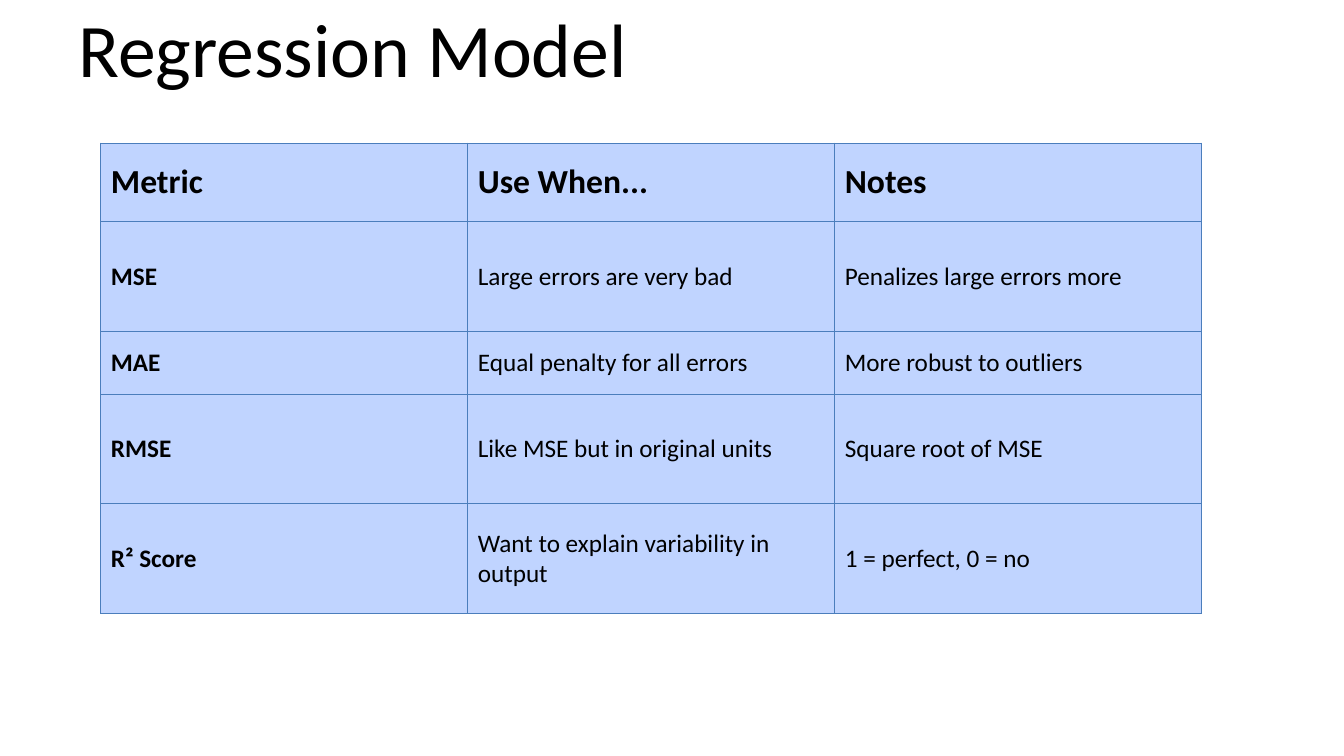
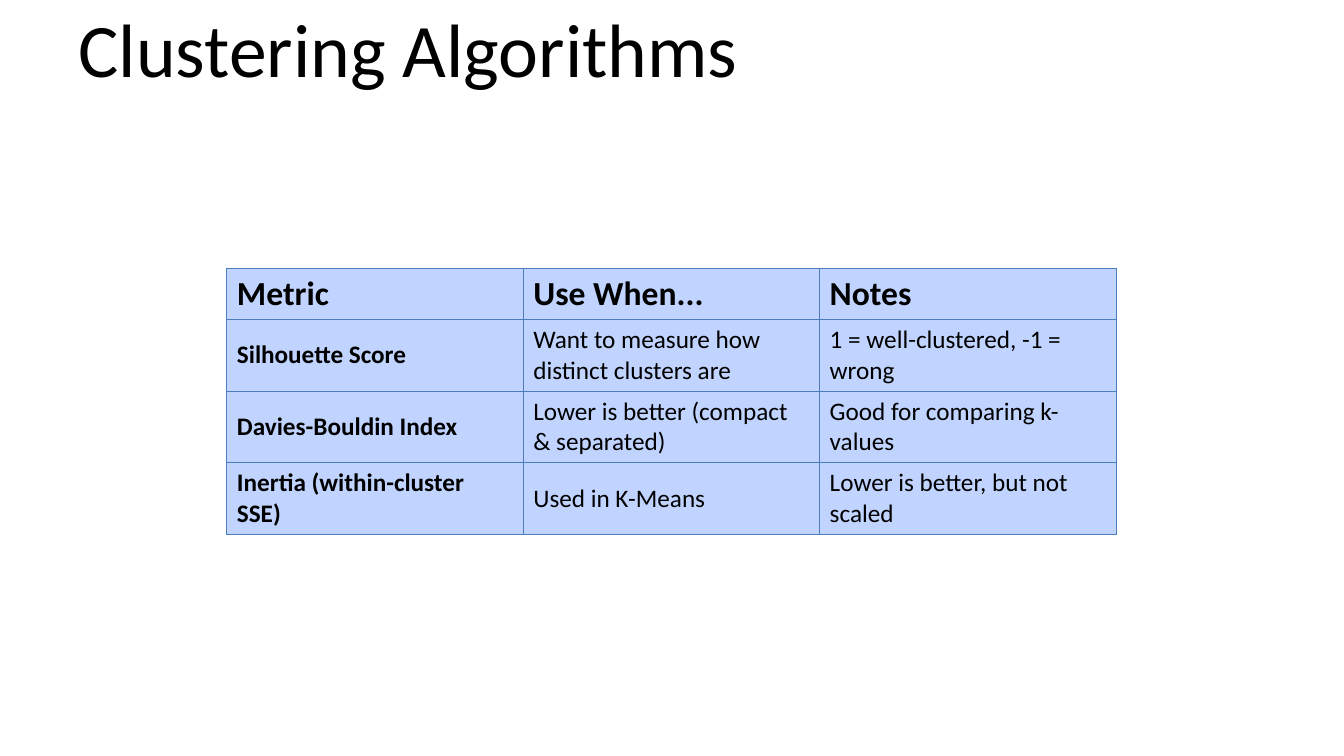
from dataclasses import dataclass

from lxml.etree import SubElement
from pptx import Presentation
from pptx.dml.color import RGBColor as Rgb
from pptx.enum.text import MSO_ANCHOR as Anchor
from pptx.oxml.ns import qn
from pptx.util import Pt

EMU_PER_PX = 9144


@dataclass(frozen=True)
class Theme:
    """Colours, font and type sizes shared by the slides."""
    font: str = "Calibri"
    ink: str = "000000"
    cell: str = "C0D4FF"
    rule: str = "4B7EBC"
    rule_width: float = 0.75
    title: int = 54
    header: int = 24
    body: int = 18


def px(length):
    """Turn whole pixels into EMU."""
    return length * EMU_PER_PX


class Deck:
    """Holds the style and the current slide."""

    def __init__(self, theme, width, height):
        """Start an empty presentation of the given size."""
        self.theme = theme
        self.presentation = Presentation()
        self.presentation.slide_width = px(width)
        self.presentation.slide_height = px(height)
        self.slide = None

    def add_slide(self, title):
        """Add a blank slide with its title."""
        self.slide = self.presentation.slides.add_slide(self.presentation.slide_layouts[6])
        heading = self.slide.shapes.add_textbox(px(78), px(2), px(1178), px(91))
        frame = heading.text_frame
        frame.word_wrap = True
        frame.margin_left = frame.margin_right = frame.margin_top = frame.margin_bottom = 0
        self.set_text(frame, title, self.theme.title)

    def set_text(self, frame, text, size, bold=False):
        """Set the text of a frame and format its runs."""
        frame.text = text
        for run in frame.paragraphs[0].runs:
            run.font.name = self.theme.font
            run.font.size = Pt(size)
            run.font.bold = bold
            run.font.color.rgb = Rgb.from_string(self.theme.ink)

    def add_metrics(self, left, top, column_width, row_heights, metrics):
        """Add a metric table below the shared header row."""
        rows = [("Metric", "Use When...", "Notes"), *metrics]
        columns = len(rows[0])
        table = self.slide.shapes.add_table(
            len(rows), columns, px(left), px(top),
            px(column_width * columns), px(sum(row_heights))).table
        table.horz_banding = False
        for column in table.columns:
            column.width = px(column_width)
        for r, (height, row) in enumerate(zip(row_heights, rows)):
            table.rows[r].height = px(height)
            size = self.theme.body if r else self.theme.header
            for c, text in enumerate(row):
                cell = table.cell(r, c)
                self.set_text(cell.text_frame, text, size, bold=r == 0 or c == 0)
                self.style_cell(cell)

    def style_cell(self, cell):
        """Centre a cell vertically, rule its four sides and fill it."""
        cell.vertical_anchor = Anchor.MIDDLE
        properties = cell._tc.get_or_add_tcPr()
        for side in ("a:lnL", "a:lnR", "a:lnT", "a:lnB"):
            line = SubElement(properties, qn(side), w=str(Pt(self.theme.rule_width)))
            fill = SubElement(line, qn("a:solidFill"))
            SubElement(fill, qn("a:srgbClr"), val=self.theme.rule)
        cell.fill.solid()
        cell.fill.fore_color.rgb = Rgb.from_string(self.theme.cell)


def main():
    """Build both metric slides and save them."""
    deck = Deck(Theme(), 1333, 750)

    deck.add_slide("Regression Model")
    deck.add_metrics(100, 142, 364, (78, 109, 62, 109, 109), [
        ("MSE", "Large errors are very bad", "Penalizes large errors more"),
        ("MAE", "Equal penalty for all errors", "More robust to outliers"),
        ("RMSE", "Like MSE but in original units", "Square root of MSE"),
        ("R² Score", "Want to explain variability in output", "1 = perfect, 0 = no"),
    ])

    deck.add_slide("Clustering Algorithms")
    deck.add_metrics(225, 266, 294, (51, 71, 71, 71), [
        ("Silhouette Score", "Want to measure how distinct clusters are",
         "1 = well-clustered, -1 = wrong"),
        ("Davies-Bouldin Index", "Lower is better (compact & separated)",
         "Good for comparing k-values"),
        ("Inertia (within-cluster SSE)", "Used in K-Means", "Lower is better, but not scaled"),
    ])

    deck.presentation.save("out.pptx")


if __name__ == "__main__":
    main()
